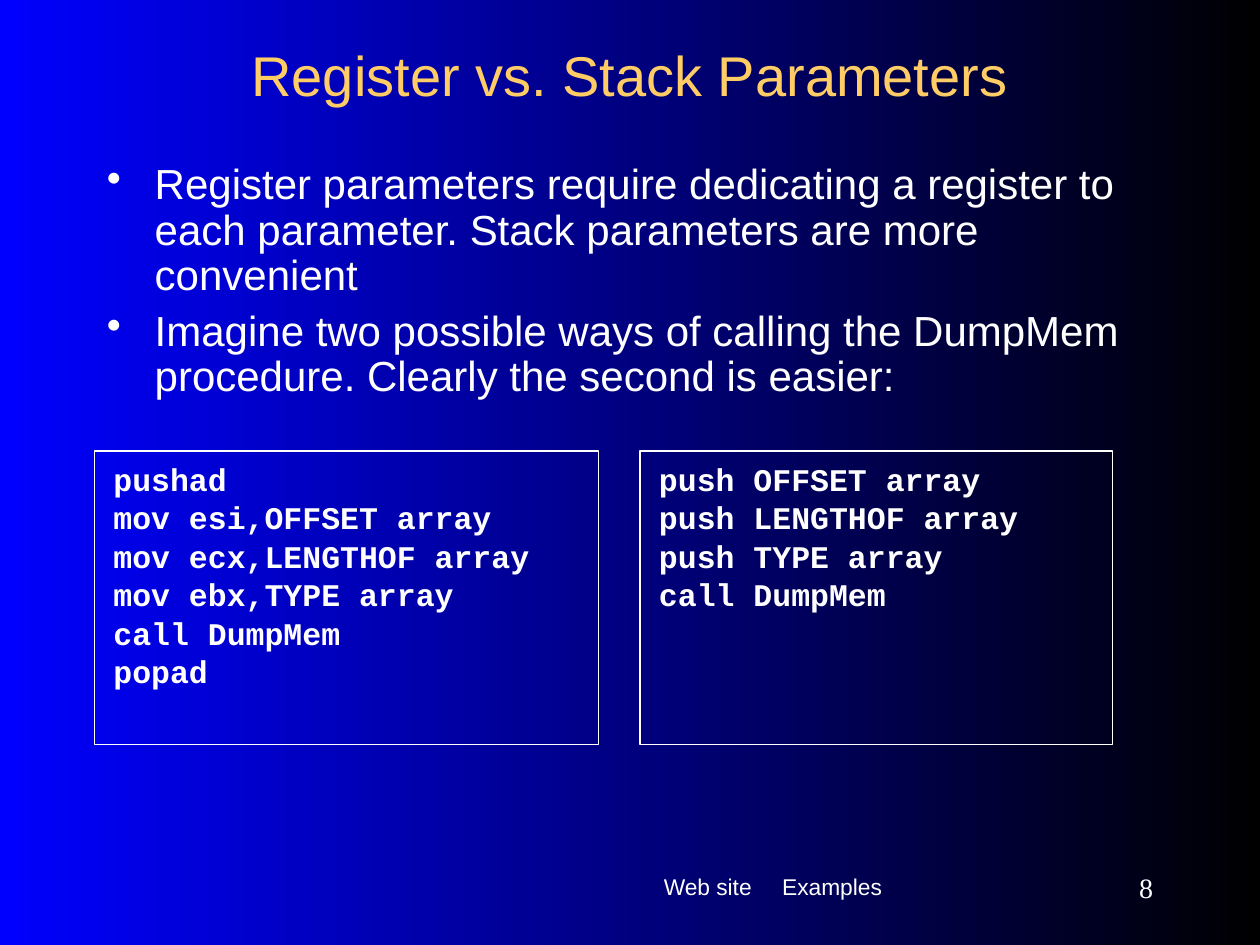
from lxml import etree
from pptx import Presentation, util as u
from pptx.dml.color import RGBColor
from pptx.enum import shapes, text
from pptx.oxml.ns import qn

WIDE, HIGH = 10, 7.5
EDGE = 0.75
WHITE, GOLD = "FFFFFF", "FFCC66"
POINTS = [
    "Register parameters require dedicating a register to each parameter. "
    "Stack parameters are more convenient",
    "Imagine two possible ways of calling the DumpMem procedure. "
    "Clearly the second is easier:",
]
BY_REG = ["pushad", "mov esi,OFFSET array", "mov ecx,LENGTHOF array",
          "mov ebx,TYPE array", "call DumpMem", "popad"]
BY_STACK = ["push OFFSET array", "push LENGTHOF array", "push TYPE array",
            "call DumpMem"]


def tint(code):
    """Turn a hex string into a colour."""
    return RGBColor.from_string(code)


def add_bullet(para, hang, code):
    """Give a paragraph a hanging round bullet."""
    props = para._p.get_or_add_pPr()
    props.set("marL", str(u.Inches(hang)))
    props.set("indent", str(-u.Inches(hang)))
    color = etree.SubElement(props, qn("a:buClr"))
    etree.SubElement(color, qn("a:srgbClr"), val=code)
    etree.SubElement(props, qn("a:buChar"), char="•")


def add_tab(para, stop):
    """Add a left tab stop to a paragraph."""
    tabs = etree.SubElement(para._p.get_or_add_pPr(), qn("a:tabLst"))
    etree.SubElement(tabs, qn("a:tab"), pos=str(u.Inches(stop)), algn="l")


def write(shape, lines, size, font="Arial", color=WHITE, bold=False,
          align="LEFT", anchor="TOP", pad=(0.1, 0.05), lead=None, gap=0,
          hang=None, stop=None):
    """Fill a shape with paragraphs in one format."""
    frame = shape.text_frame
    frame.word_wrap = True
    frame.vertical_anchor = getattr(text.MSO_ANCHOR, anchor)
    frame.margin_left = frame.margin_right = u.Inches(pad[0])
    frame.margin_top = frame.margin_bottom = u.Inches(pad[1])
    for n, line in enumerate(lines):
        para = frame.add_paragraph() if n else frame.paragraphs[0]
        if hang:
            add_bullet(para, hang, color)
        if stop:
            add_tab(para, stop)
        para.alignment = getattr(text.PP_ALIGN, align)
        if lead:
            para.line_spacing = lead
        if n:
            para.space_before = u.Pt(gap)
        run = para.add_run()
        run.text = line
        run.font.size, run.font.name, run.font.bold = u.Pt(size), font, bold
        run.font.color.rgb = tint(color)


def add_box(slide, place, lines, size, **form):
    """Add a text box at left, top, width and height in inches."""
    box = slide.shapes.add_textbox(*map(u.Inches, place))
    write(box, lines, size, **form)


def add_code(slide, left, width, lines):
    """Add an outlined panel of code."""
    place = map(u.Inches, (left, 3.58, width, 2.33))
    panel = slide.shapes.add_shape(shapes.MSO_SHAPE.RECTANGLE, *place)
    panel.shadow.inherit = False
    panel.fill.background()
    panel.line.color.rgb = tint(WHITE)
    panel.line.width = u.Pt(0.75)
    write(panel, lines, 18, font="Courier New", bold=True, pad=(0.15, 0.2),
          lead=0.5, gap=11.2)


def paint(slide):
    """Fade the background from blue at the left to black."""
    fill = slide.background.fill
    fill.gradient()
    fill.gradient_angle = 180
    for stop, code in zip(fill.gradient_stops, ("000000", "0000FF")):
        stop.color.rgb = tint(code)


def main():
    """Build and save the slide."""
    deck = Presentation()
    deck.slide_width, deck.slide_height = u.Inches(WIDE), u.Inches(HIGH)
    slide = deck.slides.add_slide(deck.slide_layouts[6])
    paint(slide)
    span = WIDE - 2 * EDGE
    add_box(slide, (5.17, 6.82, 3, 0.52), ["Web site\tExamples"], 13,
            pad=(0.1, 0.15), stop=0.94)
    add_box(slide, (EDGE, 0.25, span, 0.67),
            ["Register vs. Stack Parameters"], 32, color=GOLD,
            align="CENTER", anchor="MIDDLE")
    add_box(slide, (EDGE, 1.25, span, 2.17), POINTS, 24, lead=0.9, gap=6,
            hang=0.38)
    add_code(slide, EDGE, 4, BY_REG)
    add_code(slide, 5.08, 3.75, BY_STACK)
    add_box(slide, (8.17, 6.83, 1.08, 0.42), ["8"], 16,
            font="Times New Roman", align="RIGHT", anchor="MIDDLE")
    deck.save("out.pptx")


if __name__ == "__main__":
    main()
